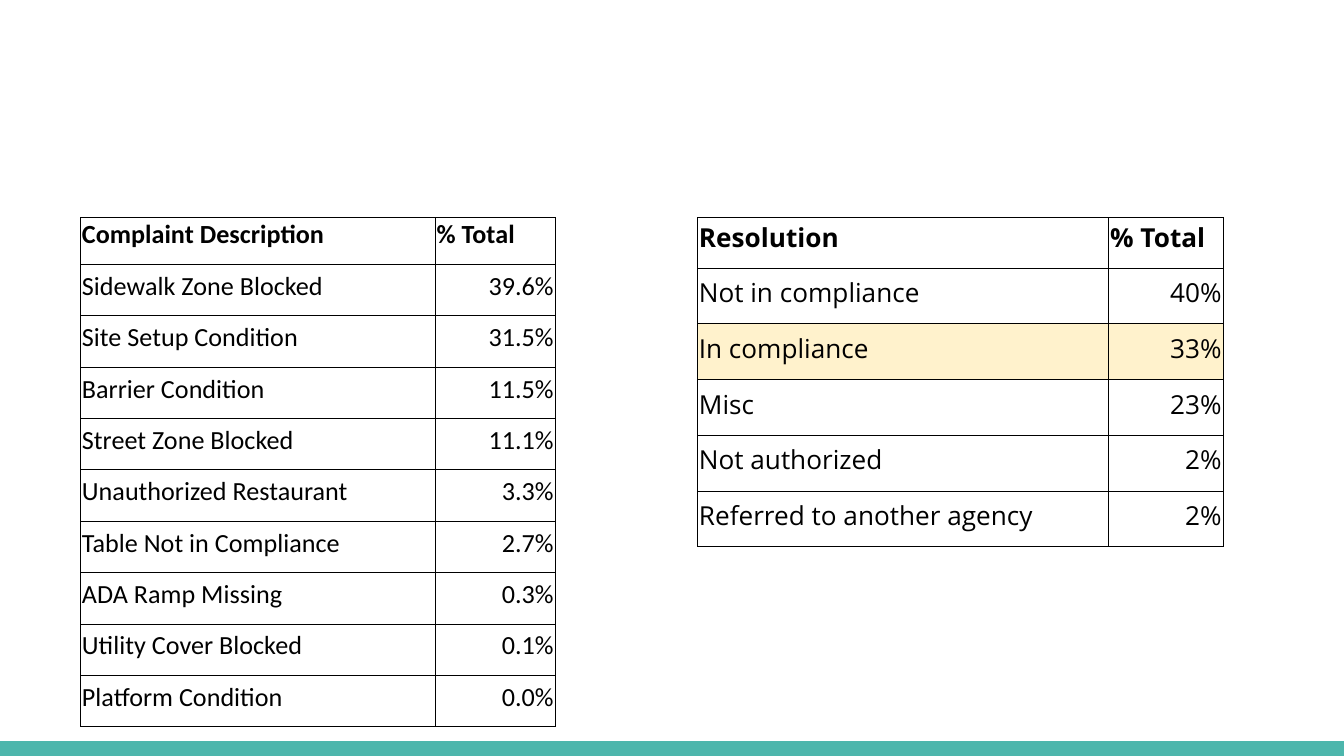
from lxml import etree
from pptx import Presentation
from pptx.dml.color import RGBColor
from pptx.enum import shapes, text
from pptx.oxml.ns import qn
from pptx.util import Inches, Pt

SLIDE_WIDTH = Inches(10)
SLIDE_HEIGHT = SLIDE_WIDTH * 9 // 16
BLACK = "000000"
TEAL = "4DB6AC"
HIGHLIGHT = "FFF2CC"
TABLE_TOP = 1.62
FRAME_SIDE = 3.28
ROW_HEIGHT = 0.26

COMPLAINTS = [
    ("Complaint Description", "% Total"),
    ("Sidewalk Zone Blocked", "39.6%"),
    ("Site Setup Condition", "31.5%"),
    ("Barrier Condition", "11.5%"),
    ("Street Zone Blocked", "11.1%"),
    ("Unauthorized Restaurant", "3.3%"),
    ("Table Not in Compliance", "2.7%"),
    ("ADA Ramp Missing", "0.3%"),
    ("Utility Cover Blocked", "0.1%"),
    ("Platform Condition", "0.0%"),
]
RESOLUTIONS = [
    ("Resolution", "% Total"),
    ("Not in compliance", "40%"),
    ("In compliance", "33%"),
    ("Misc", "23%"),
    ("Not authorized", "2%"),
    ("Referred to another agency", "2%"),
]


def paint(fill, color):
    fill.solid()
    fill.fore_color.rgb = RGBColor.from_string(color)


def add_borders(cell):
    """Draw a thin black line on all four sides, ahead of the cell's fill."""
    properties = cell._tc.get_or_add_tcPr()
    for position, side in enumerate(("lnL", "lnR", "lnT", "lnB")):
        line = etree.Element(qn(f"a:{side}"), w=str(Pt(0.5)))
        solid = etree.SubElement(line, qn("a:solidFill"))
        etree.SubElement(solid, qn("a:srgbClr"), val=BLACK)
        properties.insert(position, line)


def write_cell(cell, wording, font_name, bold, is_value):
    cell.vertical_anchor = text.MSO_ANCHOR.BOTTOM
    cell.margin_left = cell.margin_top = cell.margin_right = Inches(0.01)
    cell.margin_bottom = Inches(0.1)
    paragraph = cell.text_frame.paragraphs[0]
    if is_value:
        paragraph.alignment = text.PP_ALIGN.RIGHT
        paragraph.line_spacing = 1.15
    run = paragraph.add_run()
    run.text = wording
    run.font.name = font_name
    run.font.size = Pt(14)
    run.font.bold = bold
    run.font.color.rgb = RGBColor.from_string(BLACK)


def add_share_table(slide, left, column_widths, rows, font_name, highlighted=None):
    """Add a two-column table of labels and percentages under a bold header."""
    frame = slide.shapes.add_table(
        len(rows), len(column_widths), Inches(left), Inches(TABLE_TOP),
        Inches(FRAME_SIDE), Inches(FRAME_SIDE))
    table = frame.table
    table.first_row = table.horz_banding = False
    for column, width in zip(table.columns, column_widths):
        column.width = Inches(width)
    for r, wordings in enumerate(rows):
        table.rows[r].height = Inches(ROW_HEIGHT)
        for c, wording in enumerate(wordings):
            cell = table.cell(r, c)
            write_cell(cell, wording, font_name, bold=r == 0,
                       is_value=r > 0 and c > 0)
            if wordings[0] == highlighted:
                paint(cell.fill, HIGHLIGHT)
            else:
                cell.fill.background()
            add_borders(cell)
    frame.width = frame.height = Inches(FRAME_SIDE)


def add_footer_bar(slide):
    height = Inches(0.11)
    bar = slide.shapes.add_shape(
        shapes.MSO_SHAPE.RECTANGLE,
        0, SLIDE_HEIGHT - height, SLIDE_WIDTH, height)
    bar.shadow.inherit = False
    paint(bar.fill, TEAL)
    bar.line.fill.background()


def main():
    deck = Presentation()
    deck.slide_width = SLIDE_WIDTH
    deck.slide_height = SLIDE_HEIGHT
    slide = deck.slides.add_slide(deck.slide_layouts[6])
    add_footer_bar(slide)
    add_share_table(slide, 0.6, (2.64, 0.89), COMPLAINTS, "Calibri")
    add_share_table(slide, 5.19, (3.06, 0.85), RESOLUTIONS, "Open Sans",
                    highlighted="In compliance")
    deck.save("out.pptx")


if __name__ == "__main__":
    main()
